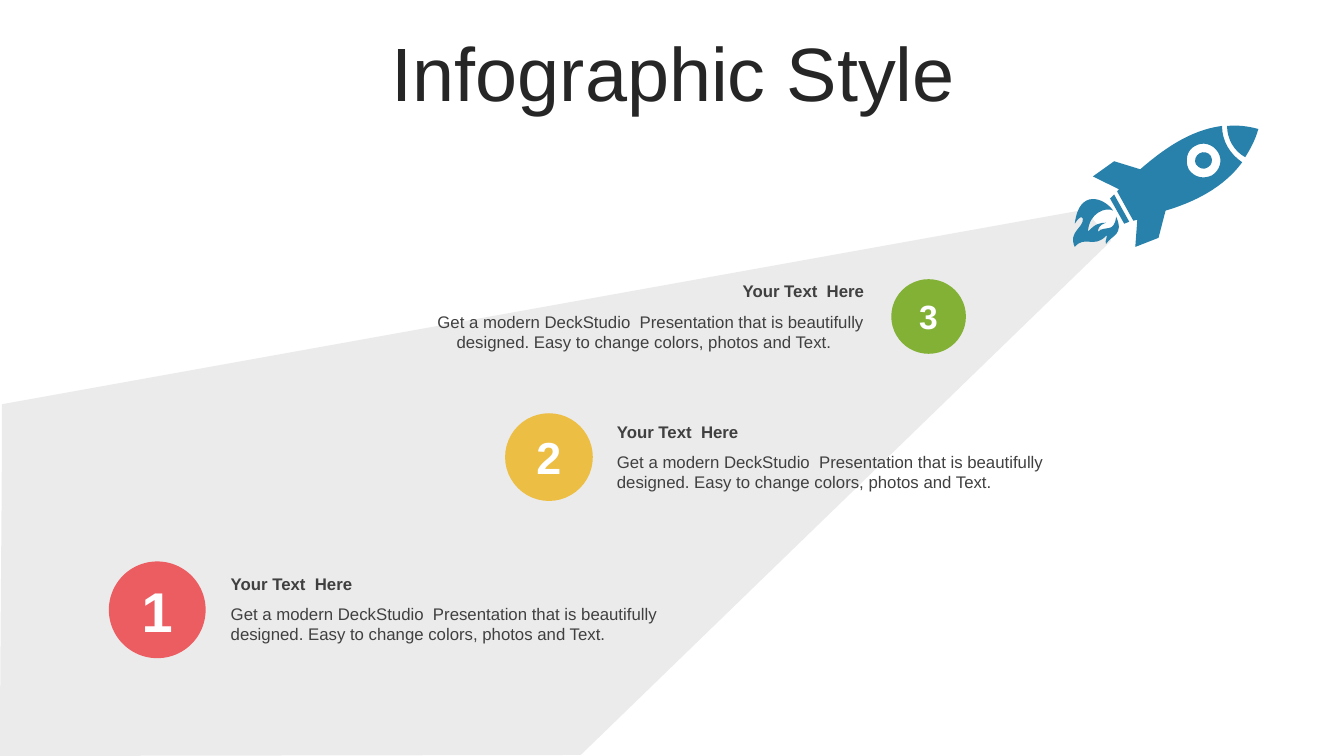
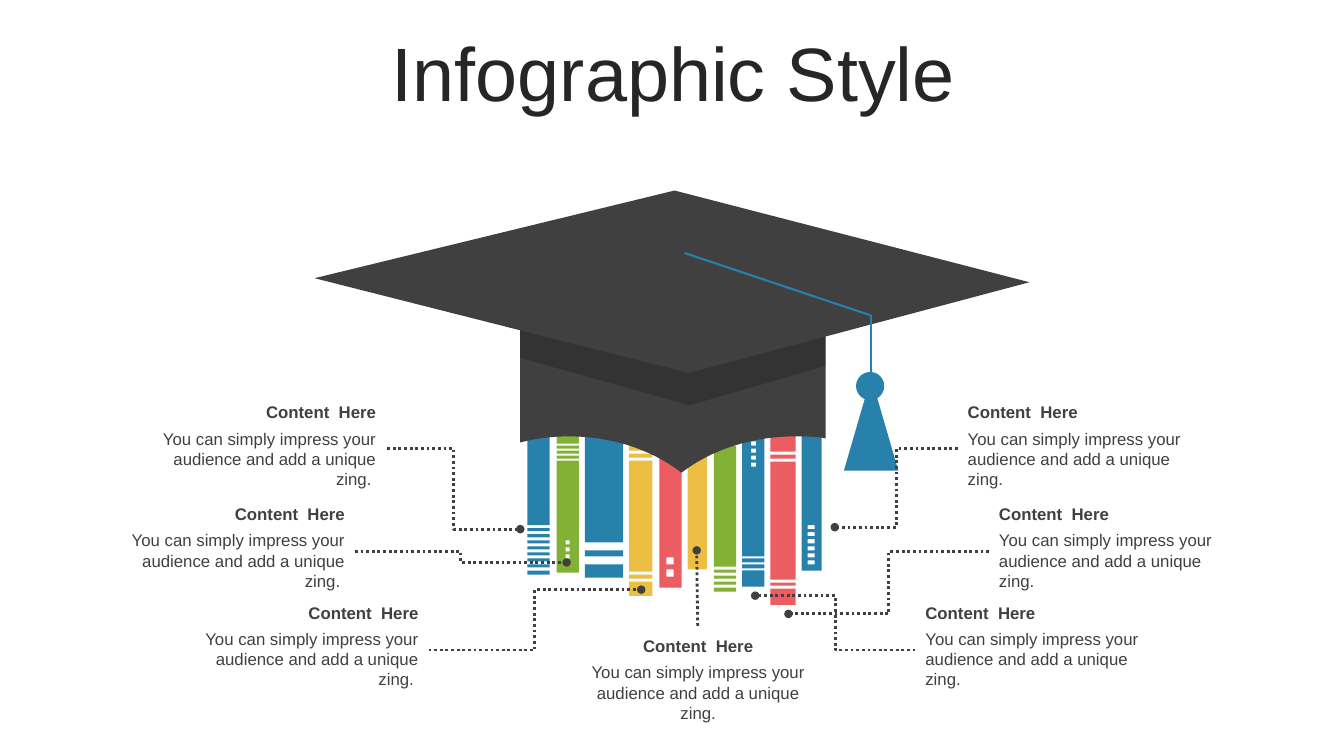
from pptx import Presentation
from pptx import util as u
from pptx.dml.color import RGBColor
from pptx.enum import dml, shapes, text
from pptx.oxml import ns, xmlchemy

# Shared style
FONT = "Arial"
INK, TITLE_INK, WHITE, BLACK, BEAM = "404040", "262626", "FFFFFF", "000000", "BFBFBF"
BLUE, GREEN, YELLOW, RED = "2781AB", "82B135", "EDBE44", "EC5D62"
LEFT, CENTER, RIGHT = text.PP_ALIGN.LEFT, text.PP_ALIGN.CENTER, text.PP_ALIGN.RIGHT
OVAL = shapes.MSO_SHAPE.OVAL

TITLE = "Infographic Style"
STEP_HEAD = "Your Text  Here"
STEP_BODY = ("Get a modern DeckStudio  Presentation that is beautifully "
             "designed. Easy to change colors, photos and Text.")
NOTE_HEAD = "Content  Here"
NOTE_BODY = "You can simply impress your audience and add a unique zing."

# Outlines in inches: M move, L line, C cubic curve, Z close
BEAM_PATH = "M 10.76 2.08 L 0.02 4.01 C 0.02 4.91 0 6.6 0 7.5 L 5.76 7.49 L 11.02 2.39 Z"
FLAME = """M 11.04 2.09 C 10.97 2.05 10.8 2.11 10.79 2.3 C 10.86 2.22 10.91 2.21 10.97 2.21
C 10.95 2.22 10.89 2.23 10.89 2.3 C 10.96 2.23 11.05 2.32 11.07 2.15
C 11.15 2.33 11.03 2.33 10.97 2.42 C 10.95 2.4 11 2.31 10.97 2.34
C 10.85 2.47 10.76 2.33 10.66 2.45 C 10.59 2.3 10.75 2.26 10.74 2.17
C 10.73 2.15 10.71 2.14 10.66 2.22 C 10.7 1.87 10.95 1.96 11.04 2.09 Z"""
NOZZLE = "M 11.05 1.93 L 11.2 2.2 C 11.18 2.21 11.17 2.21 11.15 2.22 L 11.01 1.97 Z"
PORTHOLE = """M 12.01 1.55 C 12.03 1.59 12.02 1.64 11.98 1.66 C 11.94 1.69 11.89 1.67 11.86 1.63
C 11.84 1.59 11.86 1.54 11.9 1.52 C 11.93 1.5 11.99 1.51 12.01 1.55 Z
M 12.08 1.51 C 12.03 1.43 11.93 1.4 11.85 1.45 C 11.77 1.49 11.75 1.6 11.79 1.68
C 11.84 1.76 11.94 1.78 12.02 1.74 C 12.1 1.69 12.13 1.59 12.08 1.51 Z"""
HULL = """M 12.12 1.25 C 12.12 1.4 12.2 1.53 12.32 1.61 C 12.13 1.87 11.83 2.01 11.56 2.09
L 11.49 2.36 L 11.26 2.45 L 11.28 2.18 L 11.24 2.19 L 11.08 1.9
C 11.09 1.89 11.09 1.88 11.1 1.88 L 10.84 1.75 L 11.05 1.6 L 11.31 1.68 L 11.32 1.67
C 11.53 1.49 11.8 1.29 12.12 1.25 Z"""
NOSE = """M 12.48 1.28 C 12.45 1.39 12.4 1.48 12.35 1.56 C 12.24 1.5 12.17 1.38 12.17 1.25
C 12.27 1.24 12.37 1.25 12.48 1.28 Z"""
ROCKET = " ".join([FLAME, NOZZLE, PORTHOLE, HULL, NOSE])
CAP_BASE = """M 5.16 2.63 L 8.19 2.63 L 8.19 4.35 C 8.09 4.33 7.99 4.33 7.89 4.33
C 7.46 4.33 7.06 4.46 6.76 4.69 C 6.46 4.46 6.07 4.33 5.64 4.33
C 5.47 4.33 5.31 4.35 5.16 4.39 Z"""
CAP_SHADE = "M 5.16 3.03 L 8.19 3.03 L 8.19 3.63 L 6.84 4.02 L 5.16 3.55 Z"
CAP_BOARD = "M 6.69 1.89 L 3.12 2.76 L 6.83 3.7 L 10.21 2.8 Z"

# Books: left, width, bottom, colour, stripe runs, window run.
# A run is (first top, step, count, height); windows add left and width.
BOOK_TOP = 4.29
BOOKS = [
    (7.36, 0.22, 5.82, BLUE, [(5.52, 0.06, 3, 0.02)], (4.38, 0.07, 4, 0.04, 7.45, 0.05)),
    (7.08, 0.22, 5.87, GREEN, [(4.34, 0.06, 2, 0.02), (5.62, 0.06, 4, 0.03)], None),
    (5.23, 0.22, 5.70, BLUE, [(5.21, 0.06, 8, 0.03)], None),
    (6.54, 0.22, 5.83, RED, [(4.37, 0.07, 1, 0.07)], (5.53, 0.12, 2, 0.07, 6.61, 0.07)),
    (6.82, 0.19, 5.65, YELLOW, [(4.33, 0.05, 4, 0.02)], None),
    (6.24, 0.23, 5.91, YELLOW, [(4.47, 0.07, 2, 0.03), (5.67, 0.07, 2, 0.03)], None),
    (7.64, 0.25, 6.00, RED, [(4.48, 0.07, 2, 0.03), (5.75, 0.06, 2, 0.03)], None),
    (7.95, 0.20, 5.66, BLUE, [], (5.21, 0.07, 6, 0.04, 8.01, 0.07)),
    (5.52, 0.22, 5.68, GREEN, [(4.40, 0.05, 4, 0.02)], (5.36, 0.07, 3, 0.04, 5.61, 0.04)),
    (5.80, 0.38, 5.73, BLUE, [(5.38, 0.14, 2, 0.08)], None),
]

# Steps: circle box, colour, digit size, text left, top, width, alignment,
# then left margin and first-line indent of the body
STEPS = [
    ((1.08, 5.57, 0.96), RED, 40, (2.19, 5.64, 4.7, LEFT), None),
    ((5.01, 4.10, 0.87), YELLOW, 32, (6.02, 4.13, 4.7, LEFT), None),
    ((8.84, 2.77, 0.74), GREEN, 24, (4.12, 2.74, 4.55, RIGHT), (0.31, -0.19)),
]

# Notes: left, top, alignment, leader start and end
NOTE_WIDTH = 2.57
NOTES = [
    (5.64, 6.26, CENTER, (6.92, 6.21), (6.91, 5.46)),
    (9.08, 5.93, LEFT, (9.08, 6.45), (7.49, 5.91)),
    (1.68, 5.93, RIGHT, (4.25, 6.45), (6.36, 5.85)),
    (9.81, 4.95, LEFT, (9.81, 5.47), (7.82, 6.09)),
    (0.95, 4.95, RIGHT, (3.52, 5.47), (5.62, 5.58)),
    (1.26, 3.94, RIGHT, (3.84, 4.45), (5.16, 5.25)),
    (9.50, 3.94, LEFT, (9.50, 4.45), (8.28, 5.23)),
]


def inches(*values):
    """Turn lengths in inches into slide lengths."""
    return [u.Cm(2.54 * value) for value in values]


def colour(code):
    return RGBColor.from_string(code)


def add_child(parent, tag, **attributes):
    child = xmlchemy.OxmlElement(tag)
    for key, value in attributes.items():
        child.set(key, value)
    parent.append(child)


def paint(shape, code, alpha=None):
    """Give a plain fill, no outline and no shadow."""
    shape.shadow.inherit = False
    shape.line.fill.background()
    shape.fill.solid()
    shape.fill.fore_color.rgb = colour(code)
    if alpha is not None:
        tint = shape.element.spPr.find(".//" + ns.qn("a:srgbClr"))
        add_child(tint, "a:alpha", val=str(alpha * 1000))
    return shape


def write(frame, words, size=12, ink=INK, bold=False, align=LEFT,
          anchor=text.MSO_ANCHOR.TOP, spacing=None, indent=None):
    frame.word_wrap = True
    frame.vertical_anchor = anchor
    paragraph = frame.paragraphs[0]
    paragraph.text = words
    paragraph.alignment = align
    if spacing:
        paragraph.line_spacing = spacing
    if indent:
        margin, first = inches(*indent)
        properties = paragraph.font and paragraph.runs[0].font and frame.paragraphs[0]
        properties = properties.runs[0]._r.getparent().get_or_add_pPr()
        properties.set("marL", str(margin))
        properties.set("indent", str(first))
    font = paragraph.runs[0].font
    font.name, font.size, font.bold = FONT, u.Pt(size), bold
    font.color.rgb = colour(ink)


def text_box(slide, box, words, **style):
    write(slide.shapes.add_textbox(*inches(*box)).text_frame, words, **style)


def preset(slide, kind, box, code):
    return paint(slide.shapes.add_shape(kind, *inches(*box)), code)


def segments(outline):
    """Split an outline into (command, points) pairs."""
    tokens = iter(outline.split())
    for command in tokens:
        count = {"Z": 0, "C": 3}.get(command, 1)
        yield command, [inches(float(next(tokens)), float(next(tokens)))
                        for _ in range(count)]


def freeform(slide, outline, code, alpha=None):
    """Draw an outline; each curve is laid as three lines, then joined."""
    builder, curves, lines = None, [], 0
    for command, points in segments(outline):
        if command == "Z":
            builder.add_line_segments([], close=True)
        elif command == "M" and builder is None:
            builder = slide.shapes.build_freeform(*points[0])
        elif command == "M":
            builder.move_to(*points[0])
        else:
            if command == "C":
                curves.append(lines)
            builder.add_line_segments(points, close=False)
            lines += len(points)
    shape = builder.convert_to_shape()
    laid = list(shape.element.spPr.iter(ns.qn("a:lnTo")))
    for first in curves:
        bend = xmlchemy.OxmlElement("a:cubicBezTo")
        laid[first].addprevious(bend)
        for line in laid[first:first + 3]:
            bend.append(line[0])
            line.getparent().remove(line)
    return paint(shape, code, alpha)


def rectangle(left, top, right, bottom):
    return f"M {left} {top} L {right} {top} L {right} {bottom} L {left} {bottom} Z"


def book(slide, left, width, bottom, code, stripes, windows):
    """Draw a spine cut by stripes, with small windows left open."""
    parts, top = [], BOOK_TOP
    for first, step, count, height in stripes:
        for number in range(count):
            cut = first + number * step
            parts.append(rectangle(left, top, left + width, cut))
            top = cut + height
    parts.append(rectangle(left, top, left + width, bottom))
    if windows:
        first, step, count, height, side, span = windows
        for number in range(count):
            sill = first + number * step
            parts.append(rectangle(side, sill, side + span, sill + height))
    freeform(slide, " ".join(parts), code)


def connector(slide, start, end, code, width, leader=False):
    """Draw a line; a leader is dotted, ends in a dot and bends if it must."""
    bent = leader and abs(start[0] - end[0]) > 0.1
    kind = shapes.MSO_CONNECTOR.ELBOW if bent else shapes.MSO_CONNECTOR.STRAIGHT
    line = slide.shapes.add_connector(kind, *inches(*start, *end))
    line.line.color.rgb = colour(code)
    line.line.width = u.Pt(width)
    properties = line.element.spPr
    if leader:
        line.line.dash_style = dml.MSO_LINE.ROUND_DOT
        add_child(properties.find(ns.qn("a:ln")), "a:tailEnd", type="oval")
    add_child(properties, "a:effectLst")


def caption(slide, left, top, width, align, head, body, drop, indent=None):
    """Write a bold heading and its body; an indent sets the body's line starts."""
    text_box(slide, (left, top, width, 0.3), head, bold=True, align=align)
    text_box(slide, (left, top + drop, width, 0.5), body,
             align=LEFT if indent else align, indent=indent)


def new_slide(deck):
    slide = deck.slides.add_slide(deck.slide_layouts[6])
    text_box(slide, (0.35, 0.37, 12.66, 0.79), TITLE, size=54, ink=TITLE_INK,
             align=CENTER, anchor=text.MSO_ANCHOR.MIDDLE, spacing=0.9)
    return slide


def rocket_slide(deck):
    slide = new_slide(deck)
    freeform(slide, BEAM_PATH, BEAM, alpha=30)
    for number, ((left, top, size), code, digit, place, indent) in enumerate(STEPS, 1):
        frame = preset(slide, OVAL, (left, top, size, size), code).text_frame
        frame.margin_left = frame.margin_right = frame.margin_top = frame.margin_bottom = 0
        write(frame, str(number), size=digit, ink=WHITE, bold=True,
              align=CENTER, anchor=text.MSO_ANCHOR.MIDDLE)
        caption(slide, *place, STEP_HEAD, STEP_BODY, drop=0.3, indent=indent)
    freeform(slide, ROCKET, BLUE)


def graduation_slide(deck):
    slide = new_slide(deck)
    for spine in BOOKS:
        book(slide, *spine)
    # Cap
    freeform(slide, CAP_BASE, INK)
    freeform(slide, CAP_SHADE, BLACK, alpha=20)
    freeform(slide, CAP_BOARD, INK)
    # Tassel
    connector(slide, (6.79, 2.51), (8.64, 3.13), BLUE, 1.5)
    connector(slide, (8.64, 3.13), (8.64, 4.15), BLUE, 1.5)
    preset(slide, shapes.MSO_SHAPE.ISOSCELES_TRIANGLE, (8.37, 3.74, 0.54, 0.93), BLUE)
    preset(slide, OVAL, (8.49, 3.69, 0.28, 0.28), BLUE)
    # Notes and their leaders
    for left, top, align, start, end in NOTES:
        body = NOTE_BODY + " " if align == RIGHT else NOTE_BODY
        caption(slide, left, top, NOTE_WIDTH, align, NOTE_HEAD, body, drop=0.26)
        connector(slide, start, end, INK, 2, leader=True)


def main():
    deck = Presentation()
    deck.slide_width, deck.slide_height = inches(13.33, 7.5)
    rocket_slide(deck)
    graduation_slide(deck)
    deck.save("out.pptx")


if __name__ == "__main__":
    main()
